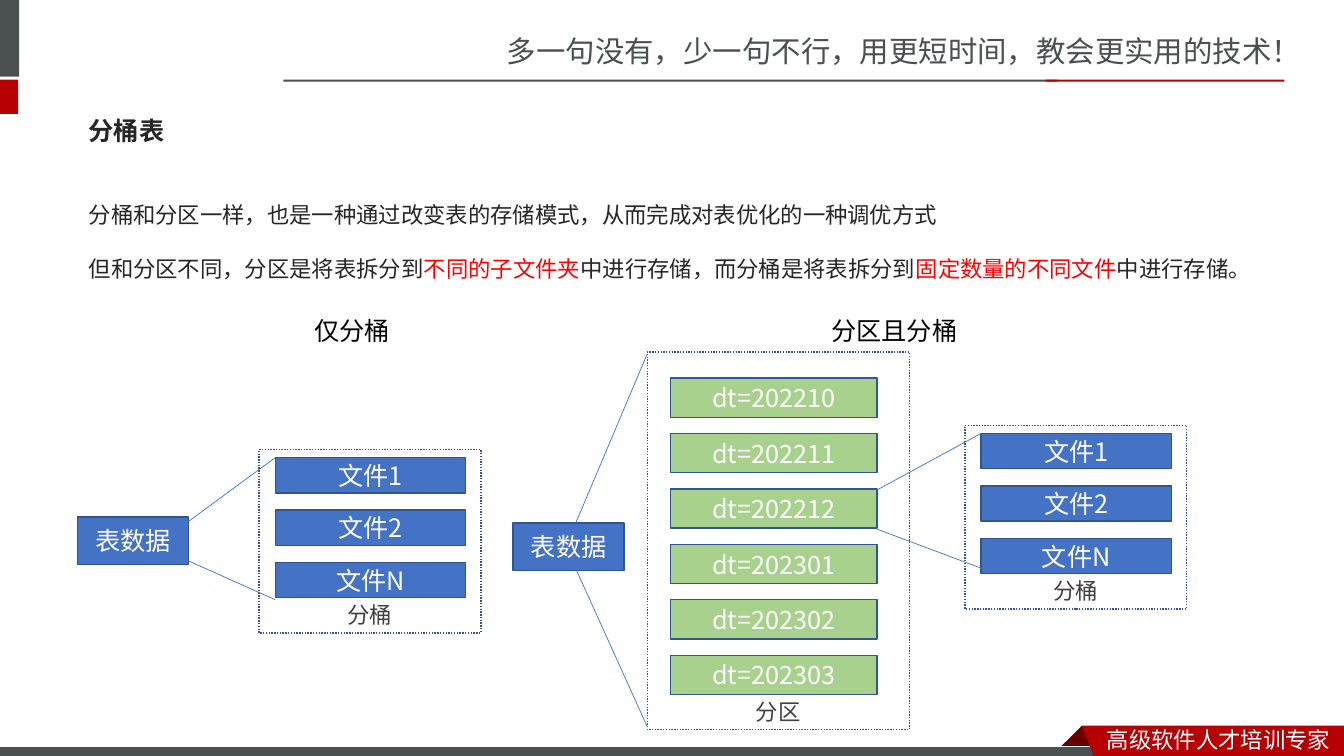
from lxml import etree
from pptx import Presentation
from pptx import util as u
from pptx.dml.color import RGBColor
from pptx.enum import dml, shapes, text
from pptx.oxml import ns

PX = 9144  # 100 px to the inch
SLATE = RGBColor(0x49, 0x50, 0x4F)
CRIMSON = RGBColor(0xB6, 0x00, 0x04)
MAROON = RGBColor(0x68, 0x00, 0x00)
WHITE = RGBColor(0xFF, 0xFF, 0xFF)
BLACK = RGBColor(0x00, 0x00, 0x00)
INK = RGBColor(0x26, 0x26, 0x26)
GREY = RGBColor(0x40, 0x40, 0x40)
RED = RGBColor(0xFF, 0x00, 0x00)
BLUE = RGBColor(0x44, 0x72, 0xC4)
NAVY = RGBColor(0x32, 0x54, 0x91)
GREEN = RGBColor(0xA9, 0xD1, 0x8E)

SANS = "Noto Sans CJK SC"
BODY = "Noto Sans CJK JP"
CENTER = text.PP_ALIGN.CENTER
TOP, MIDDLE, BOTTOM = (text.MSO_ANCHOR.TOP, text.MSO_ANCHOR.MIDDLE,
                       text.MSO_ANCHOR.BOTTOM)


def write(box, *paras, size=18, font=SANS, color=WHITE, bold=False, align=text.PP_ALIGN.LEFT,
          anchor=MIDDLE, spacing=None, before=0, plain=False):
    """Each para is a string or a list of (string, colour) spans; plain drops bullets."""
    frame = box.text_frame
    frame.word_wrap = True
    frame.auto_size = text.MSO_AUTO_SIZE.NONE
    frame.vertical_anchor = anchor
    for index, spans in enumerate(paras):
        para = frame.add_paragraph() if index else frame.paragraphs[0]
        if plain:
            props = para._p.get_or_add_pPr()
            props.set("marL", "0")
            props.set("indent", "0")
            etree.SubElement(props, ns.qn("a:buNone"))
        para.alignment = align
        para.line_spacing = spacing
        para.space_before = u.Pt(before if index else 0)
        for words, tint in [(spans, color)] if isinstance(spans, str) else spans:
            span = para.add_run()
            span.text = words
            span.font.size = u.Pt(size)
            span.font.bold = bold
            span.font.color.rgb = tint
            span.font.name = font
            east_asian = etree.SubElement(span._r.get_or_add_rPr(), ns.qn("a:ea"))
            east_asian.set("typeface", font)


class Slide:
    def __init__(self, deck):
        self.page = deck.slides.add_slide(deck.slide_layouts[1])

    def paint(self, shape, fill, line=None, width=1):
        shape.shadow.inherit = False
        if fill is None:
            shape.fill.background()
        else:
            shape.fill.solid()
            shape.fill.fore_color.rgb = fill
        if line is None:
            shape.line.fill.background()
        else:
            shape.line.color.rgb = line
            shape.line.width = u.Pt(width)
        return shape

    def rect(self, x, y, w, h, fill, line=None, width=1, parent=None):
        shape = (parent or self.page).shapes.add_shape(
            shapes.MSO_SHAPE.RECTANGLE, x * PX, y * PX, w * PX, h * PX)
        return self.paint(shape, fill, line, width)

    def node(self, x, y, w, h, label, fill=BLUE, parent=None):
        write(self.rect(x, y, w, h, fill, NAVY, parent=parent), label, align=CENTER)

    def frame(self, x, y, w, h, label, parent=None):
        """Dotted outline with its label at the bottom."""
        box = self.rect(x, y, w, h, None, NAVY, parent=parent)
        box.line.dash_style = dml.MSO_LINE.ROUND_DOT
        write(box, label, size=16, color=GREY, align=CENTER, anchor=BOTTOM)

    def buckets(self, x, y):
        group = self.page.shapes.add_group_shape()
        self.frame(x, y, 220, 182, "分桶", parent=group)
        for row, label in enumerate(("文件1", "文件2", "文件N")):
            self.node(x + 16, y + 8 + 52 * row, 189, 35, label, parent=group)

    def polygon(self, points, fill):
        builder = self.page.shapes.build_freeform(*points[0], scale=PX)
        builder.add_line_segments(points[1:], close=True)
        self.paint(builder.convert_to_shape(), fill)

    def line(self, x1, y1, x2, y2):
        link = self.page.shapes.add_connector(
            shapes.MSO_CONNECTOR.STRAIGHT, x1 * PX, y1 * PX, x2 * PX, y2 * PX)
        link.line.color.rgb = BLUE
        link.line.width = u.Pt(0.5)
        etree.SubElement(link._element.spPr, ns.qn("a:effectLst"))

    def label(self, x, y, w, h, words, **style):
        box = self.page.shapes.add_textbox(x * PX, y * PX, w * PX, h * PX)
        write(box, words, anchor=TOP, **style)

    def placeholder(self, index, x, y, w, h, *paras, **style):
        box = self.page.placeholders[index]
        box.left, box.top, box.width, box.height = x * PX, y * PX, w * PX, h * PX
        write(box, *paras, font=BODY, color=INK, **style)


def draw_branding(slide):
    slide.label(493, 28, 840, 45, "多一句没有，少一句不行，用更短时间，教会更实用的技术！",
                size=21, color=SLATE)
    slide.rect(0, 0, 19, 76, SLATE)
    slide.rect(0, 79, 18, 34, CRIMSON)
    slide.rect(281, 79, 768, 2, SLATE)
    slide.rect(1037, 79, 237, 2, CRIMSON)
    slide.polygon([(1073, 720), (1095, 742), (1094, 743), (1052, 743), (1051, 742)], MAROON)
    slide.rect(-1, 741, 1100, 12, SLATE, WHITE, 0.75)
    slide.polygon([(1073, 720), (1333, 720), (1333, 754), (1086, 753)], CRIMSON)
    slide.label(1088, 715, 245, 37, "高级软件人才培训专家", size=16)


def draw_text(slide):
    slide.placeholder(0, 78, 103, 1170, 57, "分桶表", bold=True, spacing=0.9)
    slide.placeholder(
        1, 78, 181, 1170, 461,
        "分桶和分区一样，也是一种通过改变表的存储模式，从而完成对表优化的一种调优方式",
        [("但和分区不同，分区是将表拆分到", INK), ("不同的子文件夹", RED),
         ("中进行存储，而分桶是将表拆分到", INK), ("固定数量的不同文件", RED),
         ("中进行存储。", INK)],
        size=16, anchor=TOP, spacing=1.5, before=10, plain=True)


def draw_buckets_only(slide):
    slide.label(127, 308, 444, 40, "仅分桶", font="Arial", color=BLACK, align=CENTER)
    slide.node(77, 513, 110, 47, "表数据")
    slide.buckets(257, 446)
    slide.line(186, 518, 273, 454)
    slide.line(186, 556, 273, 595)


def draw_partitions_with_buckets(slide):
    slide.label(665, 308, 444, 40, "分区且分桶", font="Arial", color=BLACK, align=CENTER)
    slide.node(509, 519, 110, 47, "表数据")
    slide.frame(642, 349, 260, 375, "分区")
    months = (202210, 202211, 202212, 202301, 202302, 202303)
    for row, month in enumerate(months):
        slide.node(665, 375 + 55 * row, 205, 39, f"dt={month}", GREEN)
    slide.line(571, 519, 642, 351)
    slide.line(571, 564, 642, 721)
    slide.buckets(957, 422)
    slide.line(870, 486, 973, 430)
    slide.line(870, 525, 974, 564)


def main():
    deck = Presentation()
    deck.slide_width, deck.slide_height = u.Inches(13.33), u.Inches(7.5)
    slide = Slide(deck)
    draw_branding(slide)
    draw_text(slide)
    draw_buckets_only(slide)
    draw_partitions_with_buckets(slide)
    deck.save("out.pptx")


if __name__ == "__main__":
    main()
